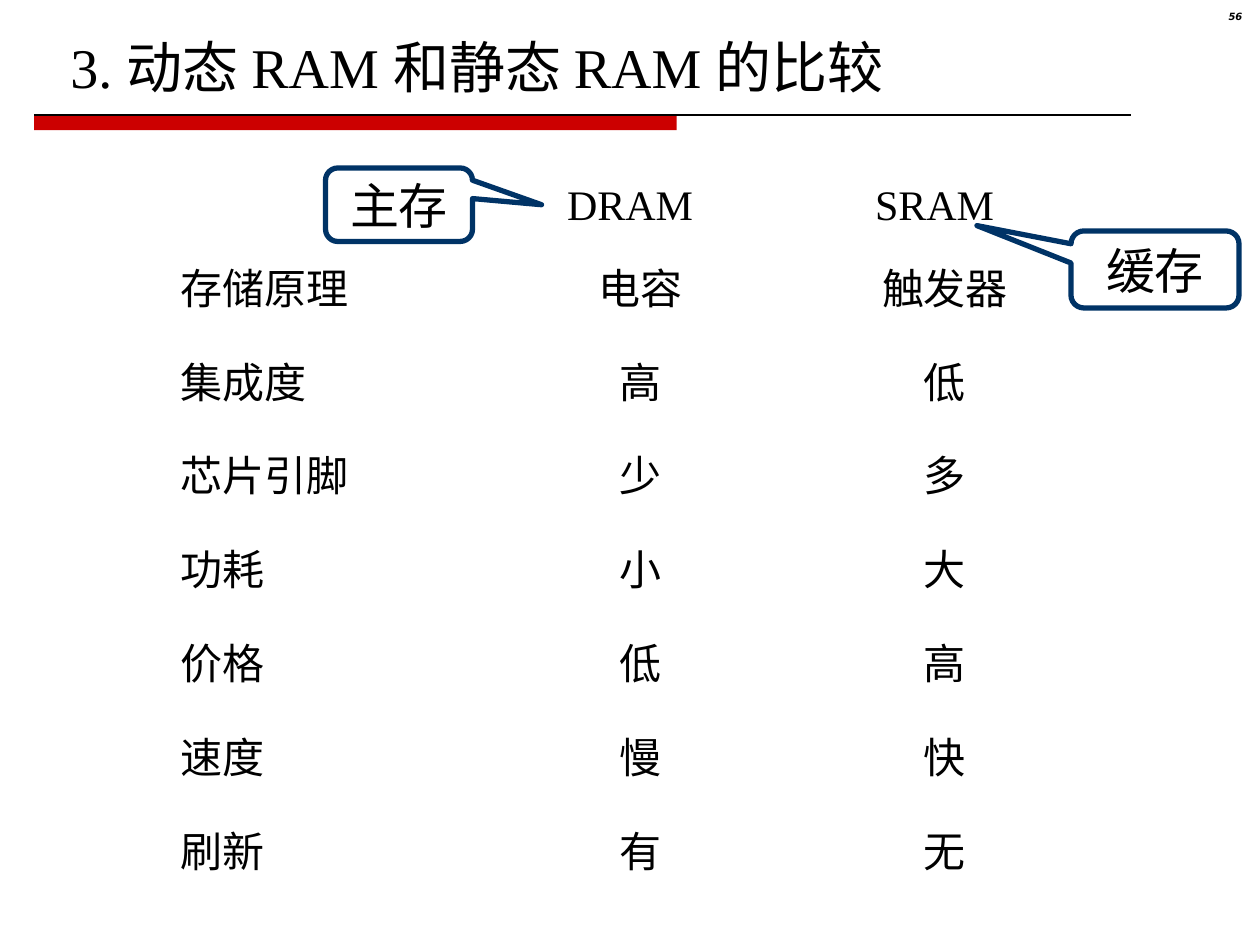
from lxml import etree
from pptx import Presentation
from pptx import util as u
from pptx.dml.color import RGBColor
from pptx.enum import shapes, text
from pptx.oxml.ns import qn

BLACK = RGBColor(0x00, 0x00, 0x00)
RED = RGBColor(0xCC, 0x00, 0x00)
NAVY = RGBColor(0x00, 0x33, 0x66)
SERIF = "Times New Roman"
SANS = "DejaVu Sans"
COLUMNS, ROWS = 120, 90
WIDTH, HEIGHT = u.Inches(10), u.Inches(7.5)

MEMORIES = ("DRAM", "SRAM")
COMPARISON = (
    ("存储原理", "电容", "触发器"),
    ("集成度", "高", "低"),
    ("芯片引脚", "少", "多"),
    ("功耗", "小", "大"),
    ("价格", "低", "高"),
    ("速度", "慢", "快"),
    ("刷新", "有", "无"),
)


def place(box):
    left, top, width, height = box
    return (
        round(left * WIDTH / COLUMNS),
        round(top * HEIGHT / ROWS),
        round(width * WIDTH / COLUMNS),
        round(height * HEIGHT / ROWS),
    )


def write(frame, words, size, align=text.PP_ALIGN.LEFT, face=SERIF):
    frame.word_wrap = True
    frame.text = words
    paragraph = frame.paragraphs[0]
    paragraph.alignment = align
    font = paragraph.runs[0].font
    font.name, font.size = face, u.Pt(size)
    font.color.rgb = BLACK
    return paragraph


def add_label(slide, box, words, size, align=text.PP_ALIGN.LEFT, face=SERIF):
    label = slide.shapes.add_textbox(*place(box))
    return write(label.text_frame, words, size, align, face)


def add_heading_rule(slide, box):
    left, top, width, height = place(box)
    bar = slide.shapes.add_shape(
        shapes.MSO_SHAPE.RECTANGLE, left, top, round(width * 0.586), height
    )
    bar.shadow.inherit = False
    bar.fill.solid()
    bar.fill.fore_color.rgb = RED
    bar.line.fill.background()
    rule = slide.shapes.add_connector(
        shapes.MSO_CONNECTOR.STRAIGHT, left, top, left + width, top
    )
    rule.line.color.rgb = BLACK
    rule.line.width = u.Pt(0.75)
    etree.SubElement(rule.element.spPr, qn("a:effectLst"))


def add_page_number(slide, box, number):
    paragraph = add_label(slide, box, number, 5.7, text.PP_ALIGN.RIGHT, SANS)
    paragraph.line_spacing = 0.8
    paragraph.runs[0].font.bold = True
    paragraph.runs[0].font.italic = True


def add_comparison(slide, box):
    left, top, width, height = box
    cell_width, cell_height = 32, 6
    first_value, value_step = left + 29, 29
    body_top = top + 8
    row_step = (height - 8 - cell_height) / (len(COMPARISON) - 1)
    center = text.PP_ALIGN.CENTER
    for column, memory in enumerate(MEMORIES):
        header = (first_value - 1 + column * value_step, top, cell_width, cell_height)
        add_label(slide, header, memory, 24, center)
    for row, (feature, *values) in enumerate(COMPARISON):
        row_top = body_top + row * row_step
        add_label(slide, (left, row_top, cell_width, cell_height), feature, 24)
        for column, value in enumerate(values):
            cell = (first_value + column * value_step, row_top, cell_width, cell_height)
            add_label(slide, cell, value, 24, center)


def add_callout(slide, box, words, tip):
    callout = slide.shapes.add_shape(
        shapes.MSO_SHAPE.ROUNDED_RECTANGULAR_CALLOUT, *place(box)
    )
    callout.adjustments[0], callout.adjustments[1] = tip
    callout.shadow.inherit = False
    callout.fill.background()
    callout.line.color.rgb = NAVY
    callout.line.width = u.Pt(3)
    callout.text_frame.vertical_anchor = text.MSO_ANCHOR.MIDDLE
    write(callout.text_frame, words, 28, text.PP_ALIGN.CENTER)


def main():
    deck = Presentation()
    deck.slide_width, deck.slide_height = WIDTH, HEIGHT
    slide = deck.slides.add_slide(deck.slide_layouts[6])
    add_heading_rule(slide, (3.25, 10.95, 104.45, 1.45))
    add_page_number(slide, (112.4, 0.6, 7.1, 2.8), "56")
    add_label(slide, (4.2, 2.5, 90, 7.7), " 3. 动态 RAM 和静态 RAM 的比较", 32)
    add_comparison(slide, (16, 16.4, 90, 67.6))
    add_callout(slide, (31, 16, 14, 7), "主存", (0.97, 0))
    add_callout(slide, (102, 22, 16, 7.33), "缓存", (-1.06, -0.57))
    deck.save("out.pptx")


if __name__ == "__main__":
    main()
